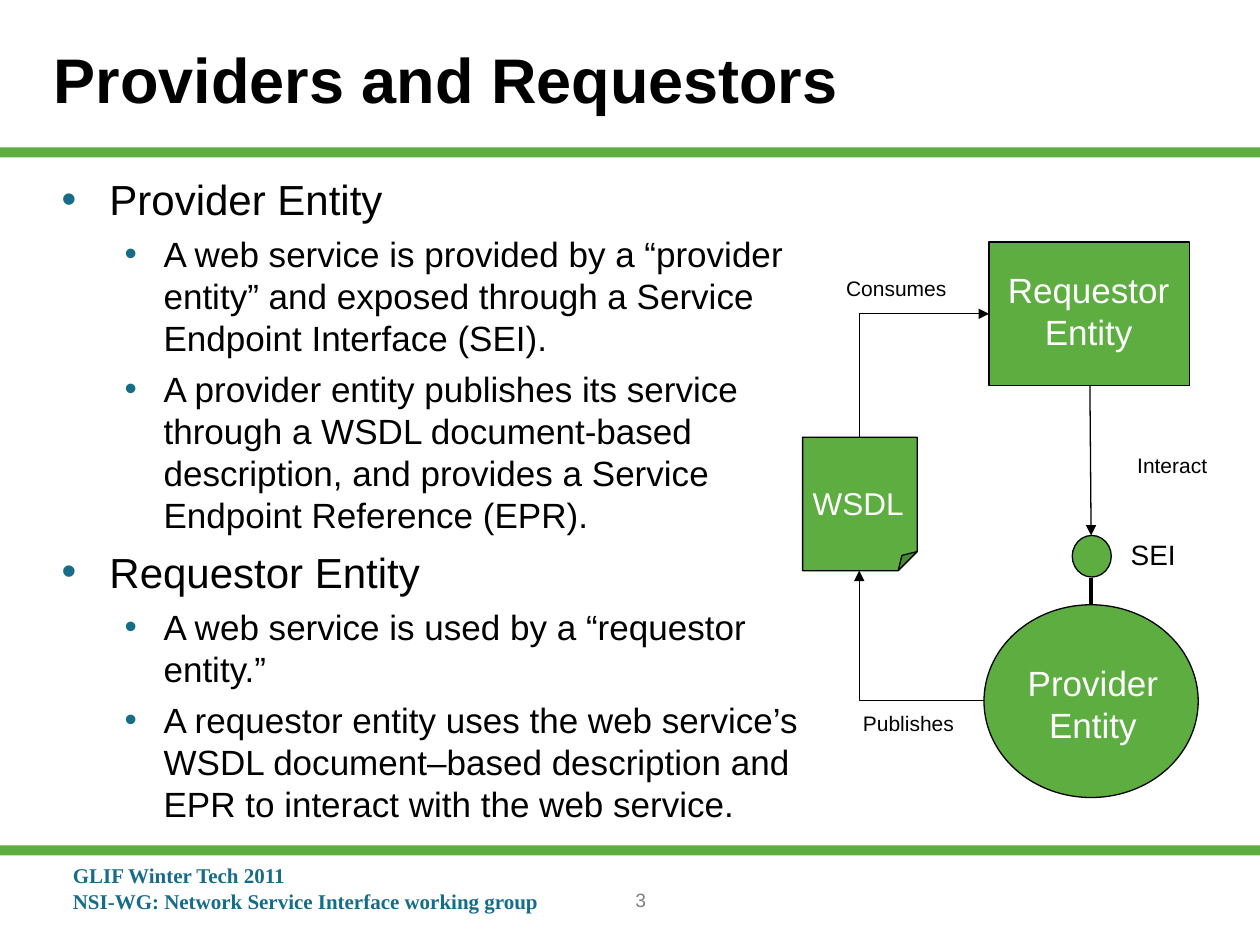
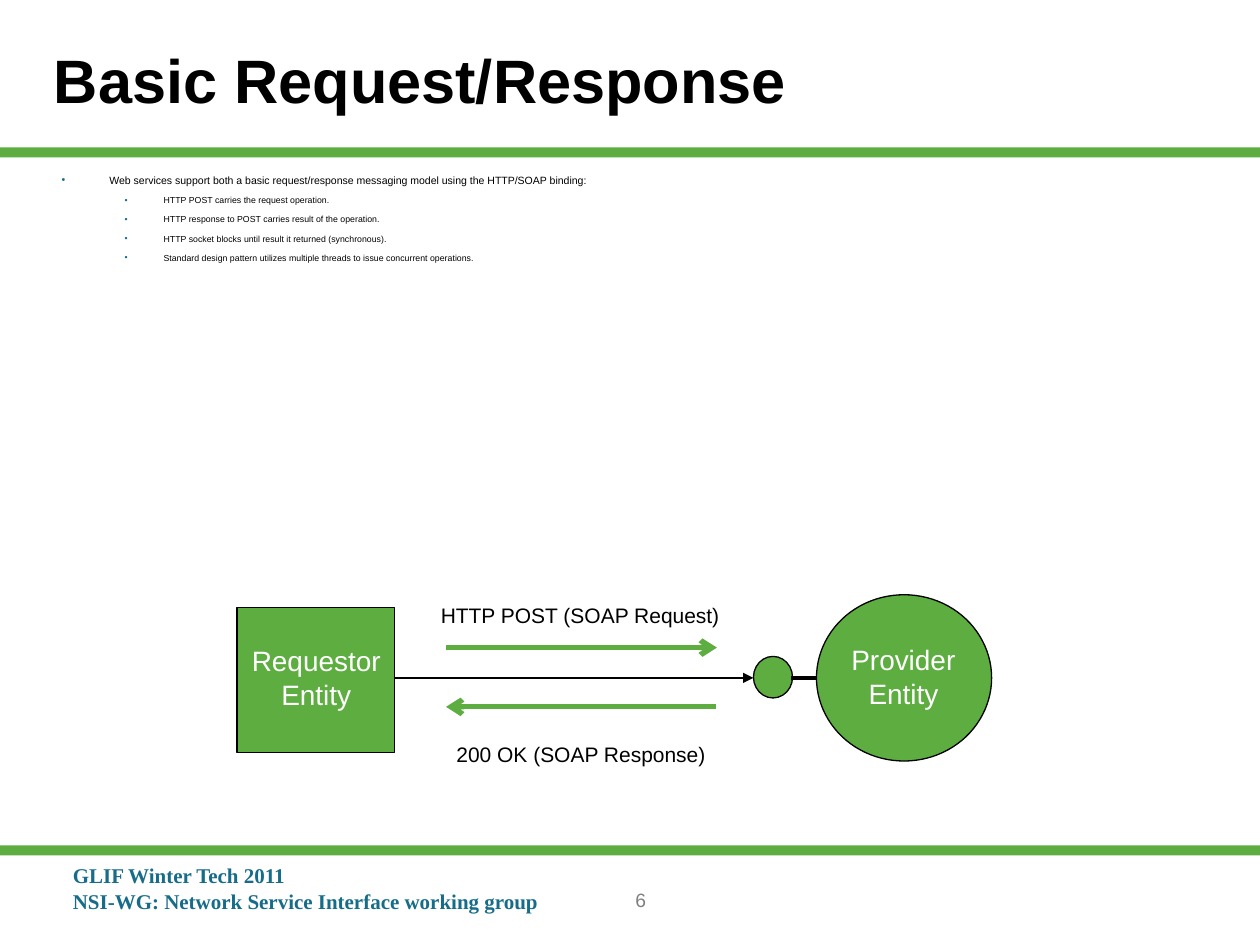
from lxml.etree import SubElement
from pptx import Presentation
from pptx.dml.color import RGBColor
from pptx.enum.shapes import MSO_CONNECTOR as LINK, MSO_SHAPE as SHAPE
from pptx.enum.text import MSO_ANCHOR as ANCHOR, MSO_AUTO_SIZE as FIT, PP_ALIGN as ALIGN
from pptx.oxml.ns import qn
from pptx.util import Emu, Pt

# Palette and scale: 100 px to the inch
GREEN = RGBColor(0x5D, 0xAD, 0x41)
TEAL = RGBColor(0x17, 0x6D, 0x89)
BLACK = RGBColor(0, 0, 0)
WHITE = RGBColor(0xFF, 0xFF, 0xFF)
GREY = RGBColor(0x80, 0x80, 0x80)
EMU_PER_PX = 9144
FOOTER = ["GLIF Winter Tech 2011", "NSI-WG: Network Service Interface working group"]
BULLET_INDENTS = [(38, -38), (81, -31)]
BULLET_GAPS = [6, 5]


def px(length):
    return Emu(length * EMU_PER_PX)


class Deck:
    """Holds the shared style and the slide being drawn."""

    def __init__(self):
        self.deck = Presentation()
        self.deck.slide_width, self.deck.slide_height = px(1000), px(750)
        self.page = None

    def start_page(self, title, title_size, number):
        self.page = self.deck.slides.add_slide(self.deck.slide_layouts[6])
        for top in (117, 671):
            self.shape(SHAPE.RECTANGLE, 0, top, 1000, 8, outlined=False)
        self.text(FOOTER, 48, 680, 601, 50, 12, TEAL, font="Times New Roman", bold=True)
        frame = self.text([title], 33, 0, 850, 125, title_size, bold=True)
        frame.vertical_anchor = ANCHOR.MIDDLE
        self.text([str(number)], 217, 700, 583, 50, 11, GREY, ALIGN.CENTER)

    def shape(self, kind, left, top, width, height, outlined=True):
        shape = self.page.shapes.add_shape(kind, px(left), px(top), px(width), px(height))
        shape.shadow.inherit = False
        shape.fill.solid()
        shape.fill.fore_color.rgb = GREEN
        if outlined:
            shape.line.color.rgb = BLACK
            shape.line.width = Pt(0.75)
        else:
            shape.line.fill.background()
        return shape

    def frame(self, left, top, width, height):
        box = self.page.shapes.add_textbox(px(left), px(top), px(width), px(height))
        box.text_frame.word_wrap = True
        return box.text_frame

    def span(self, para, text, size, color, font="Arial", bold=False):
        span = para.add_run()
        span.text = text
        span.font.name, span.font.size, span.font.bold = font, Pt(size), bold
        span.font.color.rgb = color

    def paragraphs(self, frame, items):
        for index, item in enumerate(items):
            yield (frame.add_paragraph() if index else frame.paragraphs[0]), item

    def text(self, lines, left, top, width, height, size, color=BLACK,
             align=ALIGN.LEFT, font="Arial", bold=False):
        frame = self.frame(left, top, width, height)
        for para, line in self.paragraphs(frame, lines):
            para.alignment = align
            self.span(para, line, size, color, font, bold)
        return frame

    def label(self, lines, left, top, width, height, size, color=BLACK, align=ALIGN.RIGHT):
        """Tight text box; the free side gets a slim margin so that no word breaks."""
        frame = self.text(lines, left, top, width, height, size, color, align)
        frame.word_wrap = False
        frame.auto_size = FIT.SHAPE_TO_FIT_TEXT
        frame.margin_left = px(2)
        if align == ALIGN.CENTER:
            frame.margin_right = px(2)

    def entity(self, name, left, top, width, height, size):
        self.label([name, "Entity"], left, top, width, height, size, WHITE, ALIGN.CENTER)

    def bullets(self, items, left, top, width, height, sizes):
        """Items are (level, text); sizes has one entry per level."""
        frame = self.frame(left, top, width, height)
        for para, (level, text) in self.paragraphs(frame, items):
            para.level = level
            is_first = len(frame.paragraphs) == 1
            para.space_before = Pt(0 if is_first else BULLET_GAPS[level])
            margin, indent = BULLET_INDENTS[level]
            props = para._p.get_or_add_pPr()
            props.set("marL", str(px(margin)))
            props.set("indent", str(px(indent)))
            color = SubElement(props, qn("a:buClr"))
            SubElement(color, qn("a:srgbClr"), val=str(TEAL))
            SubElement(props, qn("a:buFont"), typeface="Arial")
            SubElement(props, qn("a:buChar"), char="•")
            self.span(para, text, sizes[level], BLACK)

    def line(self, start, end, color=BLACK, width=0.75, head=None, tail=None, kind=LINK.STRAIGHT):
        line = self.page.shapes.add_connector(kind, *map(px, start + end))
        line.line.color.rgb = color
        line.line.width = Pt(width)
        for tag, arrow in (("a:headEnd", head), ("a:tailEnd", tail)):
            if arrow:
                SubElement(line.line._get_or_add_ln(), qn(tag), type=arrow)
        SubElement(line._element.spPr, qn("a:effectLst"))
        return line

    def corner(self, start, end, start_site, end_site, **arrows):
        """One-bend connector, horizontal first; a site is (shape, index)."""
        line = self.line(start, end, kind=LINK.ELBOW, **arrows)
        line._element.spPr.find(qn("a:prstGeom")).set("prst", "bentConnector2")
        line.begin_connect(*start_site)
        line.end_connect(*end_site)
        line.begin_x, line.begin_y = map(px, start)
        line.end_x, line.end_y = map(px, end)


def providers_and_requestors(deck):
    deck.start_page("Providers and Requestors", 36, 3)
    deck.bullets([
        (0, "Provider Entity"),
        (1, "A web service is provided by a “provider entity” and exposed through "
            "a Service Endpoint Interface (SEI)."),
        (1, "A provider entity publishes its service through a WSDL document-based "
            "description, and provides a Service Endpoint Reference (EPR)."),
        (0, "Requestor Entity"),
        (1, "A web service is used by a “requestor entity.”"),
        (1, "A requestor entity uses the web service’s WSDL document–based "
            "description and EPR to interact with the web service."),
    ], 39, 133, 612, 525, (24, 20))

    # Entities and the service endpoint
    requestor = deck.shape(SHAPE.RECTANGLE, 785, 192, 159, 114)
    provider = deck.shape(SHAPE.OVAL, 781, 480, 170, 153)
    deck.entity("Provider", 806, 520, 123, 77, 20)
    deck.entity("Requestor", 790, 208, 148, 77, 20)
    deck.shape(SHAPE.OVAL, 851, 425, 31, 33)
    deck.line((866, 459), (866, 480), width=2)
    deck.label(["SEI"], 887, 422, 56, 37, 16)
    deck.line((865, 306), (866, 425), tail="triangle")

    # WSDL document and its links
    wsdl = deck.shape(SHAPE.FOLDED_CORNER, 637, 347, 91, 106)
    deck.label(["WSDL"], 635, 379, 92, 40, 18, WHITE)
    deck.corner((781, 556), (682, 453), (provider, 2), (wsdl, 2), tail="triangle")
    deck.corner((785, 249), (682, 347), (requestor, 1), (wsdl, 0), head="triangle")
    for name, left, top, width in (("Interact", 893, 354, 75), ("Publishes", 675, 559, 92),
                                   ("Consumes", 662, 214, 99)):
        deck.label([name], left, top, width, 30, 12)


def basic_request_response(deck):
    deck.start_page("Basic Request/Response", 35, 6)
    deck.bullets([
        (0, "Web services support both a basic request/response messaging model "
            "using the HTTP/SOAP binding:"),
        (1, "HTTP POST carries the request operation."),
        (1, "HTTP response to POST carries result of the operation."),
        (1, "HTTP socket blocks until result it returned (synchronous)."),
        (1, "Standard design pattern utilizes multiple threads to issue "
            "concurrent operations."),
    ], 39, 133, 942, 83, (6, 5))

    # Requestor, endpoint and provider
    deck.line((313, 538), (598, 538), tail="triangle")
    deck.shape(SHAPE.RECTANGLE, 188, 482, 125, 115)
    deck.entity("Requestor", 190, 506, 122, 64, 16)
    deck.shape(SHAPE.OVAL, 598, 521, 31, 33)
    deck.line((628, 538), (648, 538), width=2)
    deck.shape(SHAPE.OVAL, 648, 472, 139, 132)
    deck.entity("Provider", 666, 505, 102, 64, 16)

    # Messages
    deck.label(["HTTP POST (SOAP Request)"], 339, 473, 242, 30, 12)
    deck.line((354, 514), (569, 514), GREEN, 3, tail="arrow")
    deck.label(["200 OK (SOAP Response)"], 352, 584, 218, 30, 12)
    deck.line((354, 561), (568, 561), GREEN, 3, head="arrow")


def main():
    deck = Deck()
    providers_and_requestors(deck)
    basic_request_response(deck)
    deck.deck.save("out.pptx")


if __name__ == "__main__":
    main()
